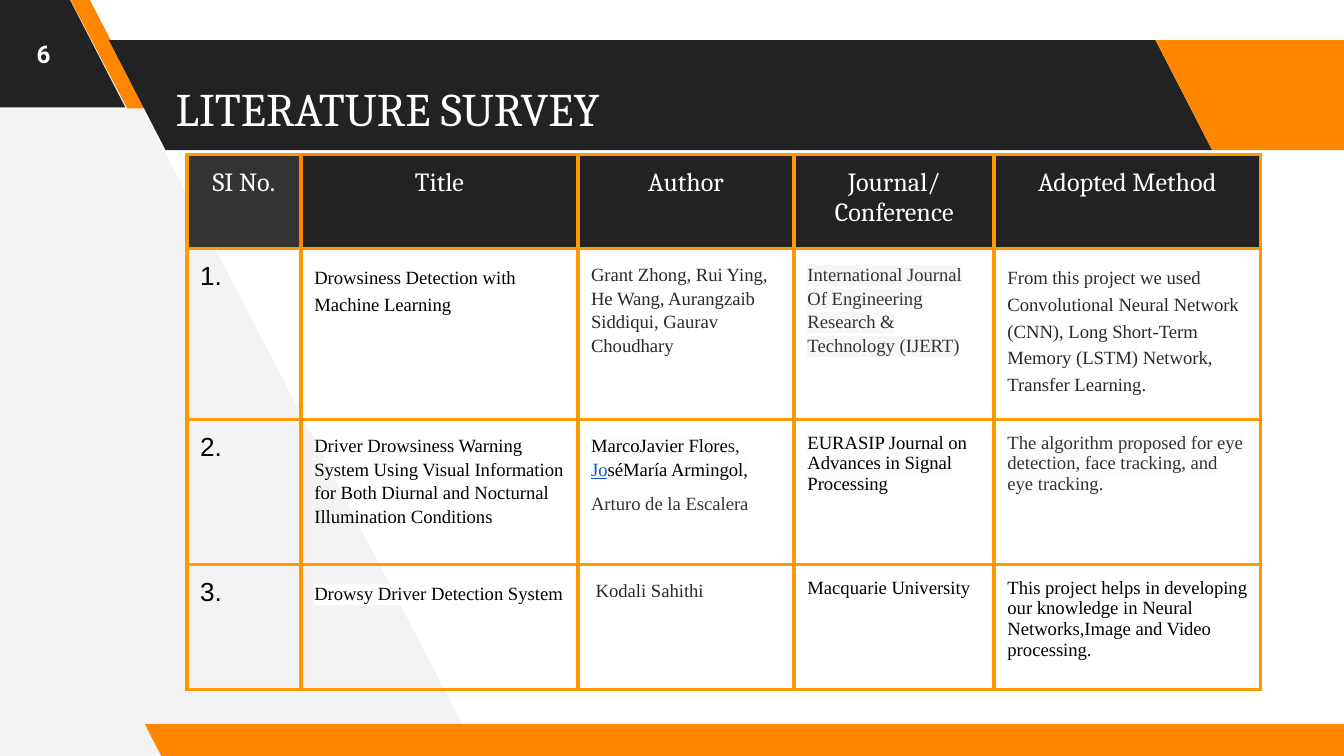
from dataclasses import dataclass

from lxml.etree import SubElement
from pptx import Presentation
from pptx.dml.color import RGBColor as RGB
from pptx.enum.shapes import MSO_SHAPE as Shape
from pptx.enum.text import MSO_ANCHOR as Anchor, MSO_AUTO_SIZE as AutoSize, PP_ALIGN as Align
from pptx.oxml.ns import qn
from pptx.util import Cm, Pt


@dataclass(frozen=True)
class Theme:
    dark: str = "222222"
    dark_soft: str = "333333"
    orange: str = "FF8700"
    border: str = "FF9900"
    pale: str = "F3F3F3"
    white: str = "FFFFFF"
    black: str = "000000"
    ink: str = "292929"
    link: str = "1155CC"
    mark_grey: str = "F7F7F7"
    mark_light: str = "FCFCFC"
    heading: str = "Cambria"
    body: str = "Times New Roman"
    index: str = "Arial"
    number: str = "Roboto"
    title_size: float = 25
    number_size: float = 13
    header_size: float = 14
    body_size: float = 10
    border_width: float = 2.25
    inset: float = 0.25


T = Theme()


@dataclass
class Run:
    text: str
    color: str = T.black
    mark: str = ""
    underline: bool = False


@dataclass
class Para:
    runs: list
    font: str = T.body
    size: float = T.body_size
    bold: bool = False
    align: Align = Align.LEFT
    spacing: float = 1.0
    before: float = 0
    after: float = 0


def body(text, color=T.black, mark="", **style):
    return Para([Run(text, color, mark)], **style)


def roomy(text, color=T.black):
    return body(text, color, T.white, spacing=1.3, after=12)


def header(text):
    return body(text, T.white, font=T.heading, size=T.header_size, align=Align.CENTER)


def index(number):
    return body(f"{number}.", font=T.index, size=T.header_size)


class SlideBuilder:
    def __init__(self, prs, theme):
        self.theme = theme
        self.s = prs.slides.add_slide(prs.slide_layouts[5])

    def paint(self, sp, color):
        sp.shadow.inherit = False
        sp.fill.solid()
        sp.fill.fore_color.rgb = RGB.from_string(color)
        sp.line.fill.background()

    def add_paras(self, tf, paras):
        for i, para in enumerate(paras):
            p = tf.add_paragraph() if i else tf.paragraphs[0]
            p.alignment, p.line_spacing = para.align, para.spacing
            p.space_before, p.space_after = Pt(para.before), Pt(para.after)
            p.font.name, p.font.size, p.font.bold = para.font, Pt(para.size), para.bold
            for run in para.runs:
                r = p.add_run()
                r.text = run.text
                r.font.color.rgb = RGB.from_string(run.color)
                if run.underline:
                    r.font.underline = True
                if run.mark:
                    mark = SubElement(r.font._element, qn("a:highlight"))
                    SubElement(mark, qn("a:srgbClr"), val=run.mark)

    def inset(self, holder):
        """Give a cell or a text frame equal margins on all sides."""
        holder.margin_left = holder.margin_right = Cm(self.theme.inset)
        holder.margin_top = holder.margin_bottom = Cm(self.theme.inset)

    def polygon(self, points, color):
        start, *rest = [(Cm(x), Cm(y)) for x, y in points]
        builder = self.s.shapes.build_freeform(*start)
        builder.add_line_segments(rest, close=True)
        self.paint(builder.convert_to_shape(), color)

    def slant(self, box, color, adjust=0.515):
        """Add a parallelogram that leans to the left."""
        sp = self.s.shapes.add_shape(Shape.PARALLELOGRAM, *map(Cm, box))
        sp.adjustments[0] = adjust
        sp.element.spPr.find(qn("a:xfrm")).set("flipH", "1")
        self.paint(sp, color)

    def frame(self, sp, para):
        tf = sp.text_frame
        tf.word_wrap, tf.auto_size, tf.vertical_anchor = True, AutoSize.NONE, Anchor.MIDDLE
        self.inset(tf)
        self.add_paras(tf, [para])

    def title(self, box, para):
        """Place the title placeholder in front of the shapes drawn so far."""
        sp = self.s.shapes.title
        sp.left, sp.top, sp.width, sp.height = map(Cm, box)
        self.frame(sp, para)
        sp.element.getparent().append(sp.element)

    def text(self, box, para):
        self.frame(self.s.shapes.add_textbox(*map(Cm, box)), para)

    def cell_borders(self, cell, special):
        tc_pr = cell._tc.get_or_add_tcPr()
        for side in "LRTB":
            ln = SubElement(tc_pr, qn(f"a:ln{side}"), w=str(Pt(self.theme.border_width)))
            fill = SubElement(ln, qn("a:solidFill"))
            color = self.theme.orange if side in special else self.theme.border
            SubElement(fill, qn("a:srgbClr"), val=color)

    def table(self, left, top, widths, heights, rows, fills, accents):
        """accents maps (row, column) to the sides drawn in the darker orange."""
        box = map(Cm, (left, top, sum(widths), sum(heights)))
        table = self.s.shapes.add_table(len(heights), len(widths), *box).table
        table.first_row = table.horz_banding = False
        for column, width in zip(table.columns, widths):
            column.width = Cm(width)
        for i, (height, row) in enumerate(zip(heights, rows)):
            table.rows[i].height = Cm(height)
            for j, paras in enumerate(row):
                cell = table.cell(i, j)
                self.inset(cell)
                self.cell_borders(cell, accents.get((i, j), ""))
                if i == 0:
                    cell.fill.solid()
                    cell.fill.fore_color.rgb = RGB.from_string(fills[j])
                else:
                    cell.fill.background()
                self.add_paras(cell.text_frame, paras)


SURVEY = [
    [[header("SI No.")], [header("Title")], [header("Author")],
     [header("Journal/"), header("Conference")], [header("Adopted Method")]],
    [[index(1)],
     [roomy("Drowsiness Detection with Machine Learning")],
     [body(line, T.ink, spacing=1.15) for line in (
         "Grant Zhong, Rui Ying,", "He Wang, Aurangzaib Siddiqui, Gaurav", "Choudhary")],
     [body("International Journal Of Engineering Research & Technology (IJERT)",
           T.dark_soft, T.mark_grey, spacing=1.15)],
     [roomy("From this project we used Convolutional Neural Network (CNN), "
            "Long Short-Term Memory (LSTM) Network, Transfer Learning.", T.ink)]],
    [[index(2)],
     [body("Driver Drowsiness Warning System Using Visual Information for Both "
           "Diurnal and Nocturnal Illumination Conditions", spacing=1.15)],
     [Para([Run("MarcoJavier Flore", mark=T.mark_light), Run("s,", T.dark)], spacing=1.15),
      Para([Run("Jo", T.link, T.mark_light, underline=True),
            Run("séMaría Armingol,", mark=T.mark_light)], spacing=1.15),
      body("Arturo de la Escalera", T.dark_soft, T.white, spacing=1.4, before=3)],
     [body("EURASIP Journal on Advances in Signal Processing", mark=T.mark_light)],
     [body("The algorithm proposed for eye detection, face tracking, and eye tracking.",
           T.dark_soft, T.mark_light)]],
    [[index(3)],
     [roomy("Drowsy Driver Detection System")],
     [body(" Kodali Sahithi", T.ink, T.white, spacing=1.15)],
     [body("Macquarie University")],
     [body("This project helps in developing our knowledge in Neural Networks,"
           "Image and Video processing.")]],
]


def main():
    prs = Presentation()
    prs.slide_width, prs.slide_height = Cm(25.4), Cm(14.29)
    b = SlideBuilder(prs, T)

    b.polygon([(9.04, 14.27), (1.57, -0.1), (-0.15, -0.1), (-0.05, 14.38)], T.pale)
    b.slant((-2.51, -0.05, 4.88, 2.08), T.dark)
    b.slant((1.32, -0.03, 1.45, 2.08), T.orange, adjust=0.75)
    b.slant((2.06, 0.76, 20.85, 2.08), T.dark)
    b.slant((21.84, 0.76, 4.88, 2.08), T.orange)
    b.slant((2.74, 13.69, 23.24, 0.64), T.orange)

    b.title((3.07, 0.99, 18.67, 2.08),
            body("LITERATURE SURVEY", T.white, font=T.heading, size=T.title_size))
    b.text((0, 0, 1.65, 2.03),
           body("6", T.white, font=T.number, size=T.number_size, bold=True, align=Align.CENTER))
    b.table(3.53, 2.92, [2.16, 5.23, 4.09, 3.78, 5.03], [1.78, 3.23, 2.74, 2.36], SURVEY,
            fills=[T.dark_soft] + [T.dark] * 4, accents={(0, 0): "R", (0, 1): "LT"})
    prs.save("out.pptx")


if __name__ == "__main__":
    main()
